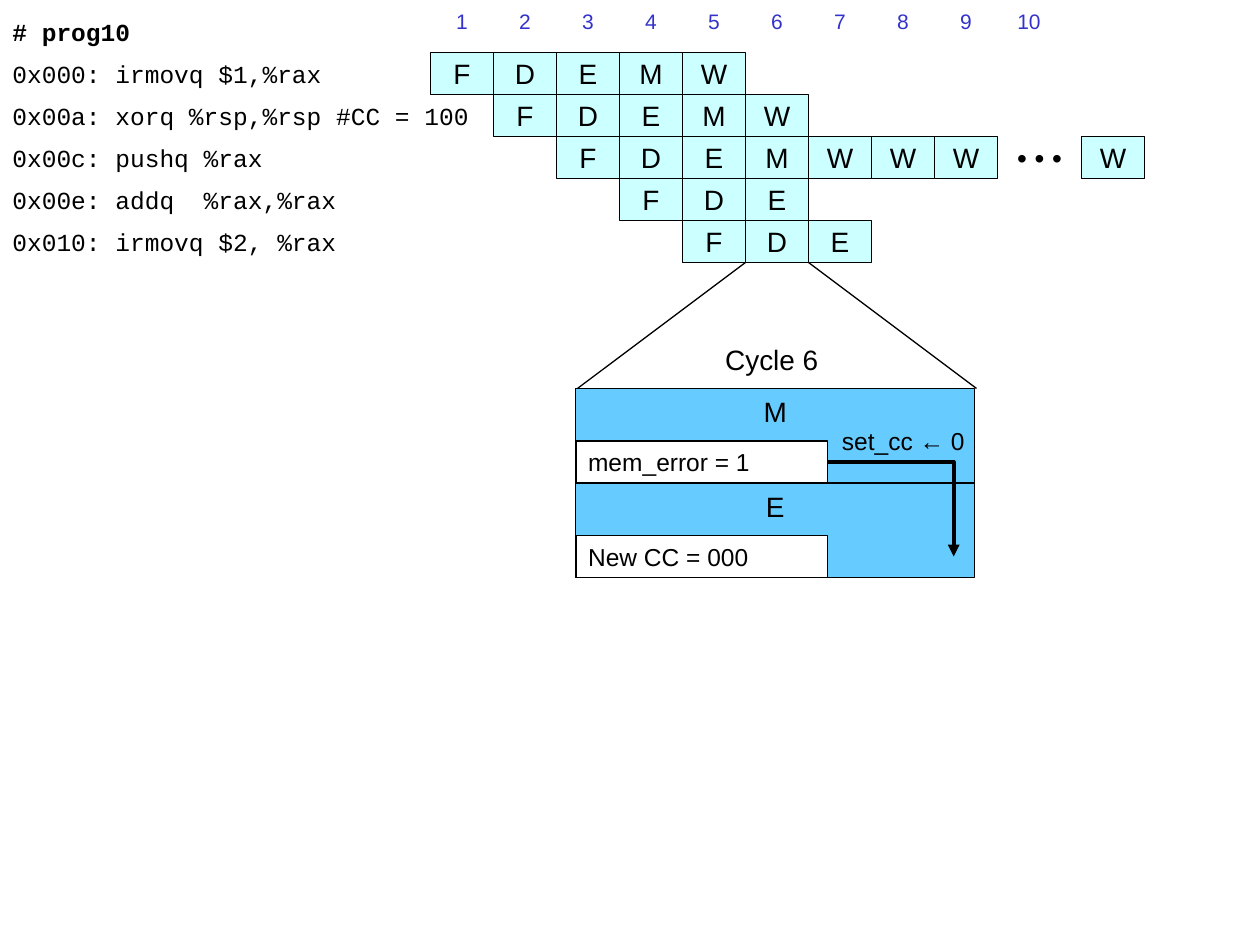
import pptx
import pptx.dml.color
import pptx.enum.shapes
import pptx.enum.text
import pptx.oxml
import pptx.oxml.ns
import pptx.util

Pt = pptx.util.Pt
RGBColor = pptx.dml.color.RGBColor
ALIGN = pptx.enum.text.PP_ALIGN
ANCHOR = pptx.enum.text.MSO_ANCHOR
SHAPE = pptx.enum.shapes.MSO_SHAPE

BLACK = RGBColor(0x00, 0x00, 0x00)
WHITE = RGBColor(0xFF, 0xFF, 0xFF)
CYCLE_BLUE = RGBColor(0x33, 0x33, 0xCC)
STAGE_CYAN = RGBColor(0xCC, 0xFF, 0xFF)
PANEL_BLUE = RGBColor(0x66, 0xCC, 0xFF)

PROGRAM = "# prog10"
INSTRUCTIONS = [
    ("0x000: irmovq $1,%rax", "FDEMW"),
    ("0x00a: xorq %rsp,%rsp #CC = 100", "FDEMW"),
    ("0x00c: pushq %rax", "FDEMWWW"),
    ("0x00e: addq  %rax,%rax", "FDE"),
    ("0x010: irmovq $2, %rax", "FDE"),
]
CYCLE_COUNT = 10
PANELS = [("M", "mem_error = 1"), ("E", "New CC = 000")]

COLUMN, ROW = 36, 24
GRID_LEFT, GRID_TOP = 246, 30
CODE_WIDTH = 204
PANEL_LEFT, PANEL_TOP, PANEL_WIDTH, PANEL_HEIGHT = 329, 222, 228, 54
SIGNAL_WIDTH = 144
ZOOMED_CYCLE, ZOOMED_LEFT, ZOOMED_RIGHT = 6, 330, 558

CODE = {"name": "Courier New", "size": Pt(14)}
PROGRAM_NAME = {**CODE, "bold": True}
CYCLE = {"name": "Arial", "size": Pt(12)}
STAGE = {"name": "Arial", "size": Pt(16)}
SIGNAL = {"name": "Arial", "size": Pt(14)}


def write(box, text, font, align=ALIGN.CENTER, anchor=ANCHOR.MIDDLE, color=BLACK):
    frame = box.text_frame
    for name, value in {"word_wrap": False, "vertical_anchor": anchor}.items():
        setattr(frame, name, value)
    paragraph = frame.paragraphs[0]
    paragraph.alignment = align
    run = paragraph.add_run()
    run.text = text
    for name, value in font.items():
        setattr(run.font, name, value)
    run.font.color.rgb = color


def add_box(slide, place, text, font, fill, line=None, **layout):
    box = slide.shapes.add_shape(SHAPE.RECTANGLE, *map(Pt, place))
    box.shadow.inherit = False
    box.fill.solid()
    box.fill.fore_color.rgb = fill
    if line:
        box.line.color.rgb = BLACK
        box.line.width = Pt(line)
    else:
        box.line.fill.background()
    write(box, text, font, **layout)


def add_label(slide, place, text, font, **layout):
    write(slide.shapes.add_textbox(*map(Pt, place)), text, font, **layout)


def add_stage(slide, left, top, stage):
    add_box(slide, (left, top, COLUMN, ROW), stage, STAGE, STAGE_CYAN, 1)


def add_code(slide, top, text, font):
    add_box(slide, (0, top, CODE_WIDTH, ROW), text, font, WHITE, align=ALIGN.LEFT)


def add_pipeline(slide):
    add_code(slide, GRID_TOP - ROW, PROGRAM, PROGRAM_NAME)
    for cycle in range(CYCLE_COUNT):
        place = (GRID_LEFT + cycle * COLUMN, 0, COLUMN, ROW)
        add_box(slide, place, str(cycle + 1), CYCLE, WHITE, color=CYCLE_BLUE)
    for row, (code, stages) in enumerate(INSTRUCTIONS):
        top = GRID_TOP + row * ROW
        add_code(slide, top, code, CODE)
        for step, stage in enumerate(stages):
            add_stage(slide, GRID_LEFT + (row + step) * COLUMN, top, stage)
    push_top = GRID_TOP + 2 * ROW
    add_label(slide, (570, push_top, 48, ROW), "• • •", STAGE)
    add_stage(slide, 618, push_top, "W")


def add_zoom_lines(slide):
    bottom = GRID_TOP + len(INSTRUCTIONS) * ROW
    cycle_right = GRID_LEFT + ZOOMED_CYCLE * COLUMN
    for start, end in [(cycle_right - COLUMN, ZOOMED_LEFT), (cycle_right, ZOOMED_RIGHT)]:
        zoom = slide.shapes.add_connector(
            pptx.enum.shapes.MSO_CONNECTOR.STRAIGHT,
            *map(Pt, (start, bottom, end, PANEL_TOP)))
        zoom.line.color.rgb = BLACK
        zoom.line.width = Pt(0.75)
        properties = zoom.element.find(pptx.oxml.ns.qn("p:spPr"))
        properties.append(pptx.oxml.parse_xml(
            f'<a:effectLst {pptx.oxml.ns.nsdecls("a")}/>'))


def add_cycle_detail(slide):
    add_label(slide, (366, 192, 150, 26.6), f"Cycle {ZOOMED_CYCLE}", STAGE,
              anchor=ANCHOR.TOP)
    for index, (stage, signal) in enumerate(PANELS):
        top = PANEL_TOP + index * PANEL_HEIGHT
        add_box(slide, (PANEL_LEFT, top, PANEL_WIDTH, PANEL_HEIGHT), stage, STAGE,
                PANEL_BLUE, 0.75, anchor=ANCHOR.TOP)
        add_box(slide, (PANEL_LEFT, top + PANEL_HEIGHT - ROW, SIGNAL_WIDTH, ROW),
                signal, SIGNAL, WHITE, 1, align=ALIGN.LEFT)


def add_set_cc_arrow(slide):
    start = PANEL_LEFT + SIGNAL_WIDTH
    turn = start + 72
    outline = slide.shapes.build_freeform(start, 264, scale=Pt(1))
    outline.add_line_segments([(turn, 264), (turn, 318)], close=False)
    arrow = outline.convert_to_shape()
    arrow.shadow.inherit = False
    arrow.fill.background()
    arrow.line.color.rgb = BLACK
    arrow.line.width = Pt(2.25)
    arrow.line._get_or_add_ln().append(pptx.oxml.parse_xml(
        f'<a:tailEnd {pptx.oxml.ns.nsdecls("a")} type="triangle"/>'))
    add_label(slide, (474, 240, 85, 24.2), "set_cc ← 0", SIGNAL,
              align=ALIGN.LEFT, anchor=ANCHOR.TOP)


def main():
    deck = pptx.Presentation()
    deck.slide_width, deck.slide_height = Pt(720), Pt(540)
    slide = deck.slides.add_slide(deck.slide_layouts[6])
    add_pipeline(slide)
    add_zoom_lines(slide)
    add_cycle_detail(slide)
    add_set_cc_arrow(slide)
    deck.save("out.pptx")


if __name__ == "__main__":
    main()
